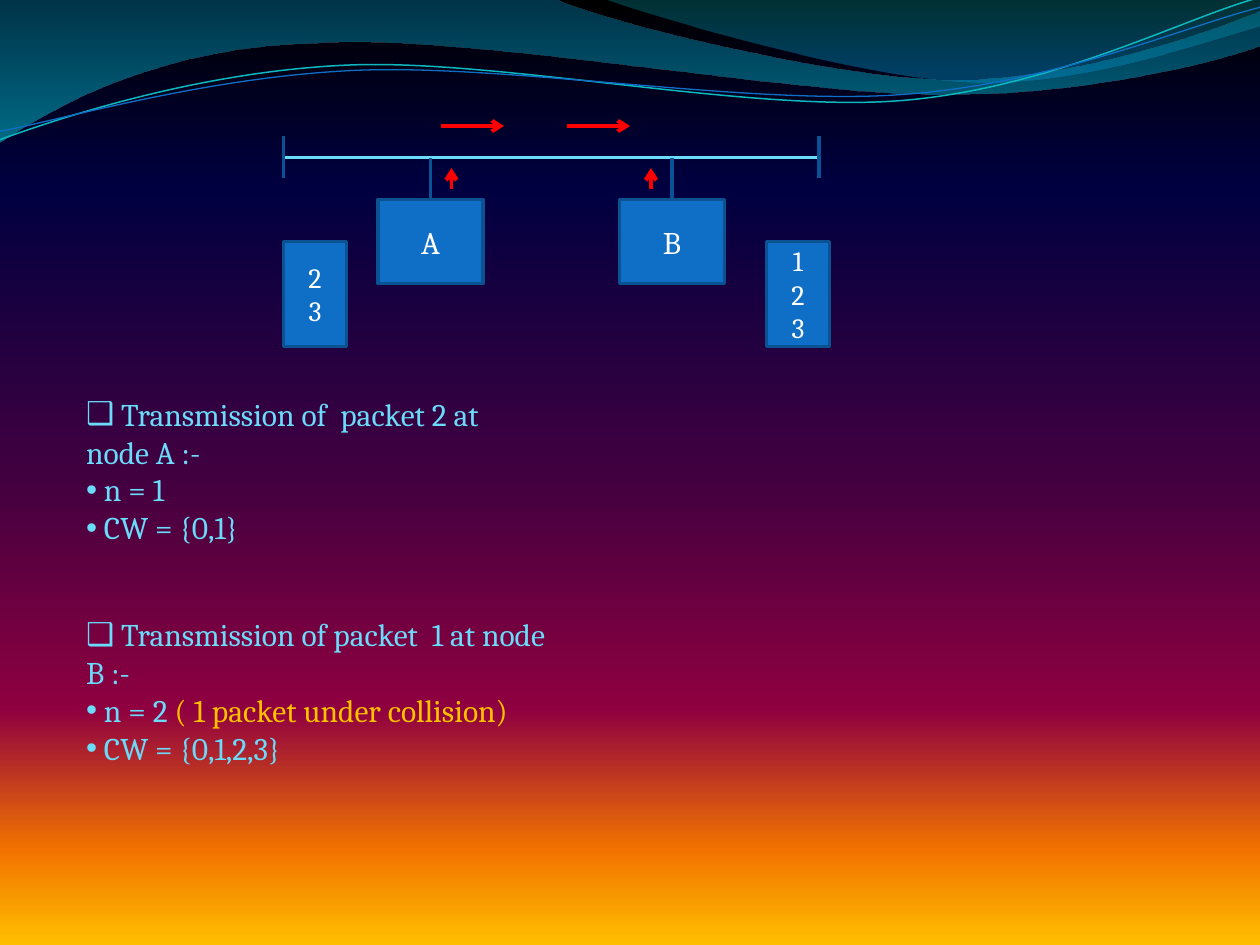
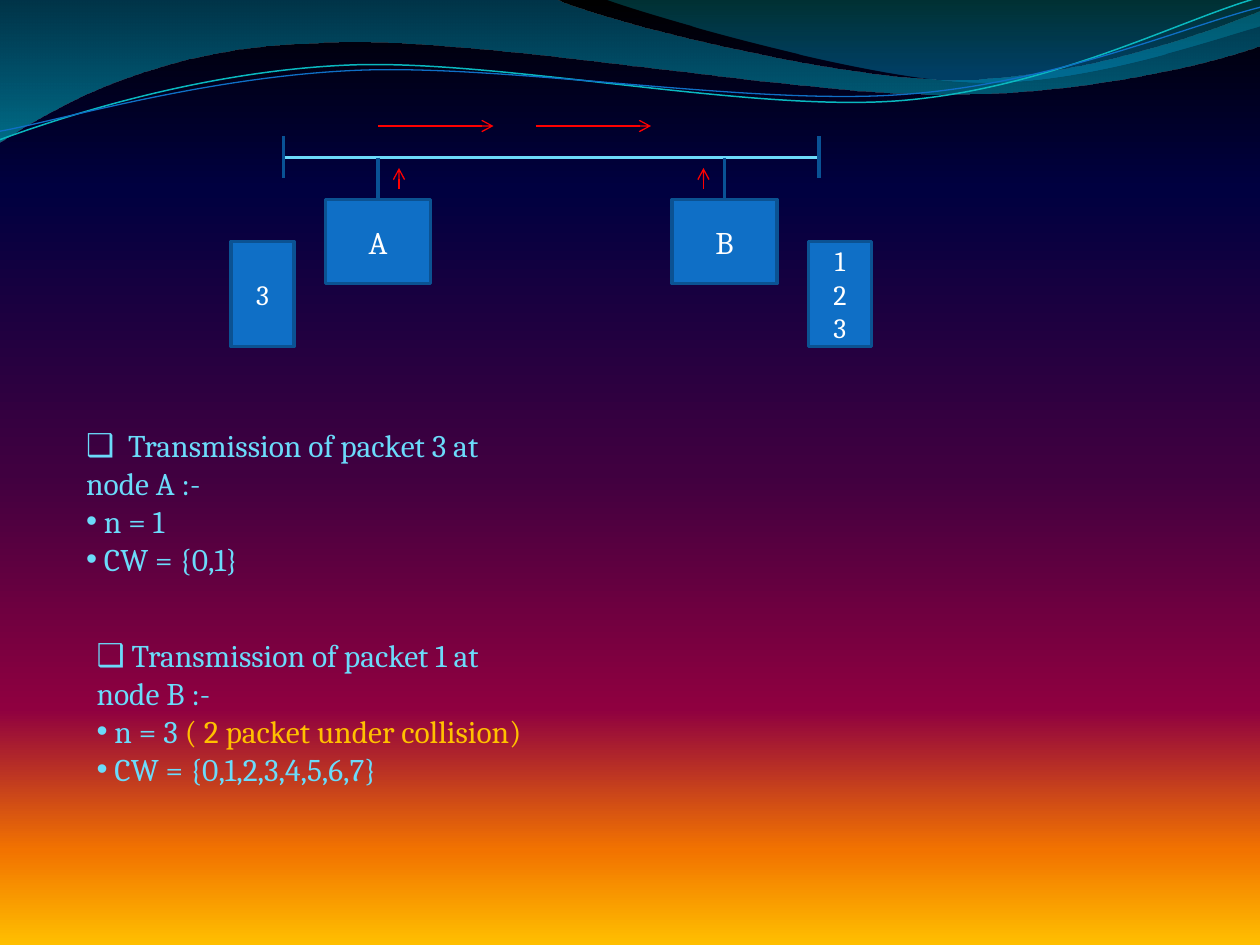
from dataclasses import dataclass

from lxml import etree
from pptx import Presentation
from pptx import util as u
from pptx.dml import color
from pptx.enum import shapes, text
from pptx.oxml import ns

PX = 7620  # EMU per px, 120 px to the inch


@dataclass(frozen=True)
class Theme:
    font: str = "Cambria"
    big: int = 18
    small: int = 16
    bold: float = 2.25
    thin: float = 0.75
    sky: str = "6BDBFA"
    amber: str = "FFC000"
    white: str = "FFFFFF"
    red: str = "FF0000"
    blue: str = "0F6FC6"
    edge: str = "0B5292"
    stem: str = "095295"
    teal: str = "0AB8BF"
    # Gradient stops: position, colour, opacity in percent
    back: tuple = ((0, "000000", 100), (20, "000040", 100), (50, "400040", 100),
                   (75, "8F0040", 100), (90, "F27300", 100), (100, "FFBF00", 100))
    sea: tuple = ((0, "0074A1", 45), (100, "00C6CF", 55))
    deep: tuple = ((0, "00A1A9", 30), (80, "008BBF", 45))


T = Theme()

# Outlines in px: start, then line ends (2 numbers) or cubic curves (6 numbers)
WIDE = ((0, 0), (528, -1), (571, 20, 797, 76, 910, 76),
        (1024, 76, 1150, 31, 1200, 11), (1201, 43),
        (1180, 53, 1044, 91, 895, 90), (746, 90, 458, 34, 308, 41),
        (155, 43, 55, 100, -1, 136))
CREST = ((575, -1), (611, 13, 818, 74, 923, 78),
         (1027, 83, 1153, 38, 1200, 25), (1200, 0))
UPPER = ((0, 133), (58, 112, 190, 68, 332, 62),
         (474, 56, 712, 107, 856, 96), (1000, 85, 1126, 18, 1198, -2))
LOWER = ((0, 125), (56, 115, 197, 73, 340, 67),
         (484, 61, 716, 101, 860, 90), (1003, 80, 1129, 25, 1200, 7))


def rgb(code):
    return color.RGBColor.from_string(code)


def sub(node, tag, **attrs):
    return etree.SubElement(node, ns.qn(tag), attrs)


# --- Shared backdrop ---

def blend(fill, node, stops):
    """Give a fill a top-to-bottom gradient; node holds its XML."""
    fill.gradient()
    fill.gradient_angle = 270
    stack = node.xpath(".//a:gsLst")[0]
    for old in list(stack):
        stack.remove(old)
    for pos, code, alpha in stops:
        stop = sub(stack, "a:gs", pos=str(pos * 1000))
        tone = sub(stop, "a:srgbClr", val=code)
        if alpha < 100:
            sub(tone, "a:alpha", val=str(alpha * 1000))


def bend(shape, segs):
    """Join each three straight pieces of a curved segment into one cubic."""
    lines = iter(shape.element.xpath(".//a:path/a:lnTo"))
    for seg in segs:
        first = next(lines)
        if len(seg) == 2:
            continue
        curve = etree.Element(ns.qn("a:cubicBezTo"))
        first.addprevious(curve)
        for line in (first, next(lines), next(lines)):
            curve.append(line[0])
            line.getparent().remove(line)


def wave(slide, outline, stops=None, code=None, width=None):
    """Draw a filled band (stops) or an open line (code, width)."""
    start, *segs = outline
    spots = [seg[i:i + 2] for seg in segs for i in range(0, len(seg), 2)]
    pen = slide.shapes.build_freeform(*start, scale=PX)
    pen.add_line_segments(spots, close=stops is not None)
    shape = pen.convert_to_shape()
    bend(shape, segs)
    shape.shadow.inherit = False
    if stops:
        blend(shape.fill, shape.element, stops)
        shape.line.fill.background()
    else:
        shape.fill.background()
        shape.line.color.rgb = rgb(code)
        shape.line.width = u.Pt(width)
    return shape


def dress(layout, slide):
    """Draw the backdrop on a slide, then move it to the layout."""
    blend(layout.background.fill, layout.element, T.back)
    waves = (wave(slide, WIDE, T.sea), wave(slide, CREST, T.deep),
             wave(slide, UPPER, code=T.teal, width=0.85),
             wave(slide, LOWER, code=T.blue, width=T.thin))
    for shape in waves:
        layout.element.cSld.spTree.append(shape.element)


# --- Elements ---

def rule(slide, start, end, code, width=T.bold, arrow=False):
    ends = [v * PX for v in (*start, *end)]
    link = slide.shapes.add_connector(shapes.MSO_CONNECTOR.STRAIGHT, *ends)
    link.line.color.rgb = rgb(code)
    link.line.width = u.Pt(width)
    if arrow:
        sub(link.element.xpath(".//a:ln")[0], "a:tailEnd", type="arrow")
    sub(link.element.spPr, "a:effectLst")


def style(para, size, code):
    para.font.name = T.font
    para.font.size = u.Pt(size)
    para.font.color.rgb = rgb(code)


def box(slide, left, top, wide, high, lines, size):
    shape = slide.shapes.add_shape(shapes.MSO_SHAPE.RECTANGLE,
                                   *(v * PX for v in (left, top, wide, high)))
    shape.shadow.inherit = False
    shape.fill.solid()
    shape.fill.fore_color.rgb = rgb(T.blue)
    shape.line.color.rgb = rgb(T.edge)
    shape.line.width = u.Pt(2)
    frame = shape.text_frame
    frame.vertical_anchor = text.MSO_ANCHOR.MIDDLE
    frame.text = "\n".join(lines)
    for para in frame.paragraphs:
        para.alignment = text.PP_ALIGN.CENTER
        style(para, size, T.white)


def notes(holder, left, top, wide, lines):
    """Fill a body placeholder; a line is its text and an optional amber end."""
    holder.left, holder.top = left * PX, top * PX
    holder.width, holder.height = wide * PX, 157 * PX
    frame = holder.text_frame
    frame.auto_size = text.MSO_AUTO_SIZE.SHAPE_TO_FIT_TEXT
    for i, (words, *extra) in enumerate(lines):
        para = frame.add_paragraph() if i else frame.paragraphs[0]
        props = para._p.get_or_add_pPr()
        props.set("marL", "0")
        props.set("indent", "0")
        sub(props, "a:buFont", typeface="Arial")
        sub(props, "a:buChar", char="•" if i else "❑")
        para.space_before = u.Pt(0)
        style(para, T.big, T.sky)
        para.add_run().text = words
        for tail in extra:
            run = para.add_run()
            run.text = tail
            run.font.color.rgb = rgb(T.amber)


# --- Network diagram ---

def bus(slide):
    rule(slide, (270, 150), (780, 150), T.sky)
    for x in (270, 780):
        rule(slide, (x, 130), (x, 170), T.stem)


def node(slide, name, x, side, width):
    """A station under the bus at x, with its send arrow on one side."""
    rule(slide, (x, 150), (x, 190), T.stem)
    box(slide, x - 50, 190, 100, 80, [name], T.big)
    rule(slide, (x + side, 180), (x + side, 160), T.red, width, arrow=True)


def scene(slide, stems, queues, flows, width, lists):
    title = slide.shapes.title.element
    title.getparent().remove(title)
    bus(slide)
    for name, x, side in zip("AB", stems, (20, -20)):
        node(slide, name, x, side, width)
    for left, packs in queues:
        box(slide, left, 230, 60, 100, packs, T.small)
    for start, end in flows:
        rule(slide, (start, 120), (end, 120), T.red, width, arrow=True)
    for idx, spot in enumerate(lists, 1):
        notes(slide.placeholders[idx], *spot)


def main():
    deck = Presentation()
    deck.slide_width, deck.slide_height = 1200 * PX, 900 * PX
    layout = deck.slide_layouts[3]  # title and two bodies
    one, two = (deck.slides.add_slide(layout) for _ in range(2))
    dress(layout, one)

    # Packet 2 at A, packet 1 at B
    scene(one, (410, 640), ((270, "23"), (730, "123")),
          ((420, 480), (540, 600)), T.bold, (
              (70, 370, 420, ((" Transmission of  packet 2 at node A :-",),
                              (" n = 1",), (" CW = {0,1}",))),
              (70, 580, 470, ((" Transmission of packet  1 at node B :-",),
                              (" n = 2 ", "( 1 packet under collision)"),
                              (" CW = {0,1,2,3}",)))))

    # Packet 3 at A, packet 1 at B
    scene(two, (360, 690), ((220, "3"), (770, "123")),
          ((360, 470), (510, 620)), T.thin, (
              (70, 400, 410, (("  Transmission of packet 3 at node A :-",),
                              (" n = 1",), (" CW = {0,1}",))),
              (80, 600, 450, ((" Transmission of packet 1 at node B :-",),
                              (" n = 3 ", "( 2 packet under collision)"),
                              (" CW = {0,1,2,3,4,5,6,7}",)))))

    deck.save("out.pptx")


if __name__ == "__main__":
    main()
